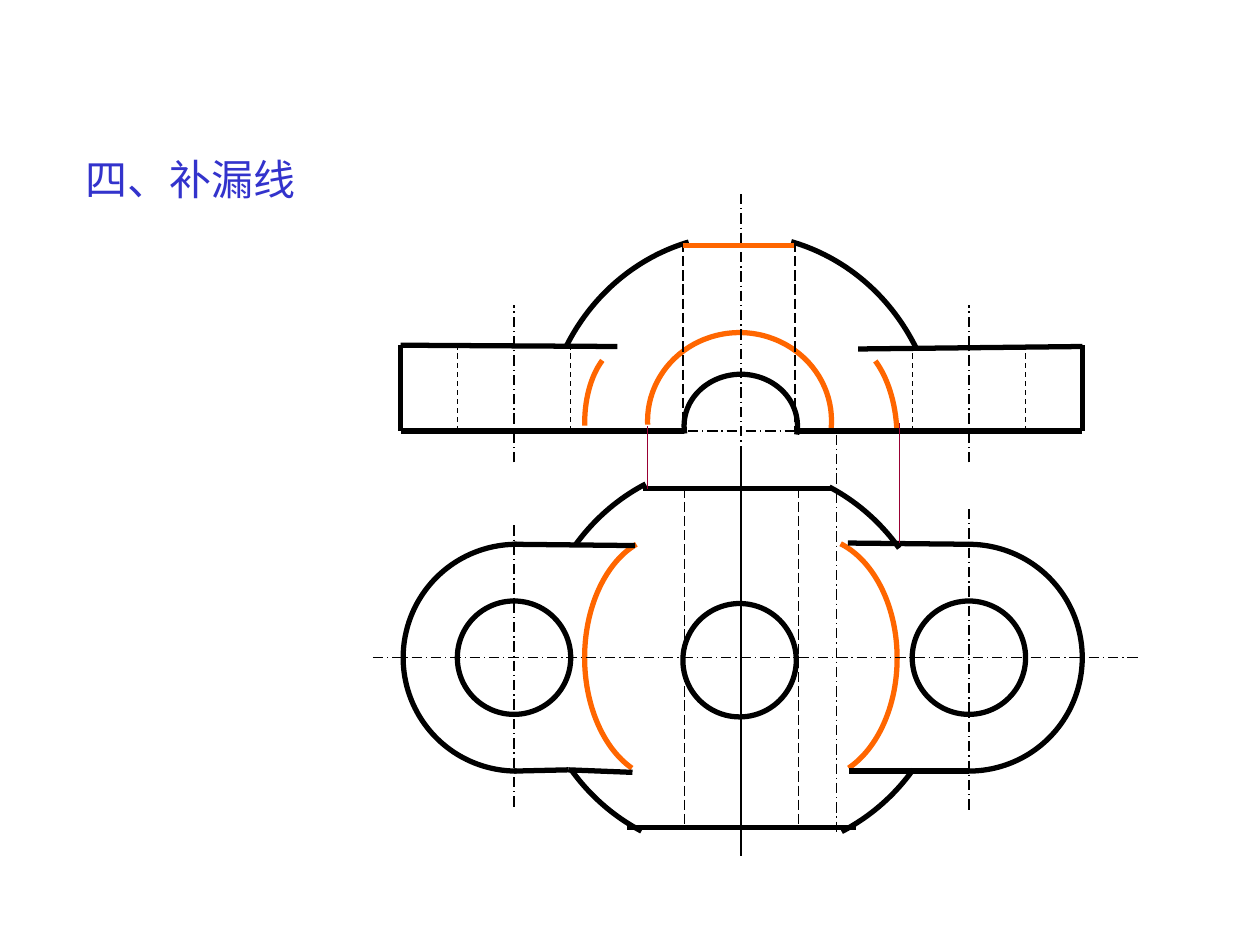
from lxml import etree
from pptx import Presentation
from pptx.dml.color import RGBColor
from pptx.enum.dml import MSO_LINE as Dash
from pptx.enum.shapes import MSO_CONNECTOR as Connector, MSO_SHAPE as Shape
from pptx.oxml.ns import qn
from pptx.util import Inches, Pt

COLORS = {"title": "3333CC", "outline": "000000", "added": "FF6600", "projection": "990033"}
FONT = "Noto Sans CJK SC"
TITLE = "四、补漏线"
THICK, THIN = 3, 0.75

LEFT, LEFT_HOLE, CENTER, RIGHT_HOLE, RIGHT = 3.18, 4.08, 5.88, 7.69, 8.59
BASE, PLATE_TOP, PLAN_AXIS = 3.42, 2.74, 5.22
HOLE_SIZE = 0.9
HOLE_RADIUS = HOLE_SIZE / 2

OUTLINES = [
    (LEFT, BASE, 5.43, BASE), (6.34, BASE, RIGHT, BASE),
    (LEFT, BASE, LEFT, PLATE_TOP), (RIGHT, BASE, RIGHT, PLATE_TOP),
    (LEFT, PLATE_TOP, 4.9, 2.75), (6.81, 2.77, RIGHT, 2.75),
    (LEFT_HOLE, 4.32, 5.04, 4.33), (6.73, 4.31, RIGHT_HOLE, 4.32),
    (LEFT_HOLE, 6.12, 4.51, 6.11), (4.51, 6.11, 5.02, 6.13),
    (6.74, 6.12, RIGHT_HOLE, 6.12),
    (5.1, 3.88, 6.61, 3.88), (4.98, 6.57, 6.79, 6.57),
]
CENTER_LINES = [
    (CENTER, 1.54, CENTER, 3.53), (6.64, 3.45, 6.64, 6.61),
    (2.96, PLAN_AXIS, 9.04, PLAN_AXIS), (5.46, BASE, 6.33, BASE),
    (LEFT_HOLE, 4.17, LEFT_HOLE, 6.42), (RIGHT_HOLE, 4.04, RIGHT_HOLE, 6.44),
    (LEFT_HOLE, 3.67, LEFT_HOLE, 2.42), (RIGHT_HOLE, 3.67, RIGHT_HOLE, 2.42),
]
HIDDEN_BORE = [(x, 3.87, x, 6.57) for x in (5.43, 6.34)]
HIDDEN_BORE += [(x, 1.92, x, BASE) for x in (5.42, 6.31)]
HIDDEN_HOLES = [(x + side * HOLE_RADIUS, BASE, x + side * HOLE_RADIUS, PLATE_TOP)
                for x in (LEFT_HOLE, RIGHT_HOLE) for side in (-1, 1)]

LINE_GROUPS = [
    (CENTER_LINES, "outline", THIN, Dash.LONG_DASH_DOT),
    (HIDDEN_BORE, "outline", THIN, Dash.LONG_DASH),
    (HIDDEN_HOLES, "outline", THIN, Dash.DASH),
    ([(CENTER, 3.54, CENTER, 6.79)], "outline", THIN, None),
    (OUTLINES, "outline", THICK, None),
    ([(5.42, 1.95, 6.3, 1.95)], "added", THICK, None),
    ([(5.14, 3.88, 5.14, 3.38), (7.14, 4.31, 7.14, 3.36)], "projection", THIN, None),
]

ARCS = [
    ("added", 5.14, 2.64, 1.46, 1.4, 177.6, 4.7),
    ("added", 4.64, 2.74, 0.69, 1.24, 177, 247.7),
    ("added", 6.22, 2.7, 0.9, 1.55, 294.5, 355.6),
    ("added", 4.64, 4.25, 1.31, 1.94, 107.7, 254.8),
    ("added", 5.77, 4.26, 1.35, 1.93, 284, 71.6),
    ("outline", 4.31, 1.86, 3.16, 3.35, 209.5, 255.3),
    ("outline", 4.28, 1.86, 3.17, 3.35, 284.4, 331.4),
    ("outline", 3.2, 4.32, 1.8, 1.8, 90, 270),
    ("outline", 6.79, 4.32, 1.8, 1.8, 270, 90),
    ("outline", 4.24, 3.67, 3.16, 3.35, 219.1, 245.2),
    ("outline", 4.3, 3.69, 3.16, 3.35, 295.1, 321.1),
    ("outline", 4.21, 3.42, 3.17, 3.35, 115.1, 141.3),
    ("outline", 4.4, 3.42, 3.17, 3.35, 38.7, 65.2),
    ("outline", 5.43, 2.97, 0.9, 0.82, 172.2, 8.8),
]
CIRCLES = [(LEFT_HOLE, PLAN_AXIS), (5.87, 5.24), (RIGHT_HOLE, PLAN_AXIS)]


def style_line(line, color, width, dash=None):
    line.color.rgb = RGBColor.from_string(COLORS[color])
    line.width = Pt(width)
    if dash is not None:
        line.dash_style = dash


def add_line(page, ends, color, width, dash):
    connector = page.shapes.add_connector(Connector.STRAIGHT, *map(Inches, ends))
    style_line(connector.line, color, width, dash)
    etree.SubElement(connector._element.spPr, qn("a:effectLst"))


def add_curve(page, kind, bounds, color):
    curve = page.shapes.add_shape(kind, *map(Inches, bounds))
    curve.shadow.inherit = False
    curve.fill.background()
    style_line(curve.line, color, THICK)
    return curve


def add_title(page):
    box = page.shapes.add_textbox(Inches(0.58), Inches(1.17), Inches(3.37), Inches(0.5))
    box.text_frame.word_wrap = True
    para = box.text_frame.paragraphs[0]
    para.text = TITLE
    span = para.runs[0]
    span.font.size = Pt(24)
    span.font.name = FONT
    span.font.color.rgb = RGBColor.from_string(COLORS["title"])
    etree.SubElement(span.font._element, qn("a:ea"), typeface=FONT)


def main():
    deck = Presentation()
    deck.slide_width, deck.slide_height = Inches(10), Inches(7.5)
    page = deck.slides.add_slide(deck.slide_layouts[6])
    add_title(page)
    for color, left, top, width, height, start, end in ARCS:
        arc = add_curve(page, Shape.ARC, (left, top, width, height), color)
        for index, degrees in enumerate((start, end)):
            arc.adjustments[index] = degrees * 0.6
    for x, y in CIRCLES:
        bounds = (x - HOLE_RADIUS, y - HOLE_RADIUS, HOLE_SIZE, HOLE_SIZE)
        add_curve(page, Shape.OVAL, bounds, "outline")
    for lines, color, width, dash in LINE_GROUPS:
        for ends in lines:
            add_line(page, ends, color, width, dash)
    deck.save("out.pptx")


if __name__ == "__main__":
    main()
